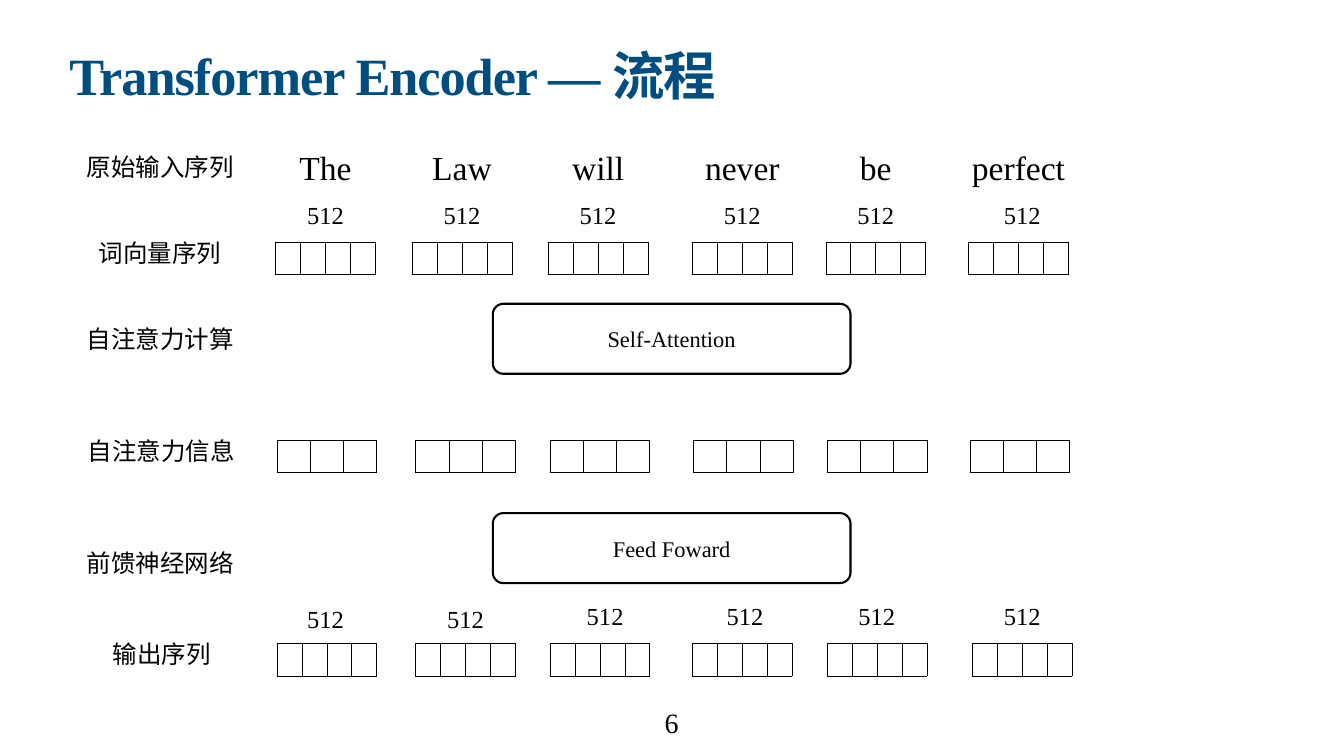
"""Build the slide that walks through the Transformer encoder."""
from lxml import etree
from pptx import Presentation
from pptx import util as u
from pptx.dml.color import RGBColor
from pptx.enum import shapes, text
from pptx.oxml import ns

BLACK = RGBColor(0x00, 0x00, 0x00)
WHITE = RGBColor(0xFF, 0xFF, 0xFF)
BLUE = RGBColor(0x00, 0x4D, 0x80)
SERIF, SANS = "Times New Roman", "Arial"
INSET = u.Pt(4)
MID = text.MSO_ANCHOR.MIDDLE
BAR, TALL = 142.5, 46

WORDS = ["The", "Law", "will", "never", "be", "perfect"]
WIDTHS = [84, 94, 84, 116, 54, 142.5]
IN_X = [465, 660, 854.5, 1060.5, 1251, 1455]
INFO_X = [467, 665, 857, 1062, 1253, 1457]
OUT_X = [467, 665, 857, 1060.5, 1253, 1460]
IN_SIZE_X = [465, 660, 854.5, 1060.5, 1251, 1460.5]
OUT_SIZE_X = [465, 665, 864.5, 1064.5, 1252.5, 1460.5]
OUT_SIZE_Y = [884.5, 884.5, 880, 880, 880, 880]
LABELS = [
    ("原始输入序列", 229, 238),
    ("词向量序列", 229, 361),
    ("自注意力计算", 229, 484),
    ("自注意力信息", 230.5, 644),
    ("前馈神经网络", 229, 804),
    ("输出序列", 231, 934),
]


def apply(item, form):
    """Set each attribute named in a dict of format values."""
    for key, value in form.items():
        setattr(item, key, value)


def set_frame(frame, anchor, wrap):
    """Set the insets, anchor and wrapping of a text frame."""
    sides = ("left", "top", "right", "bottom")
    apply(frame, {f"margin_{side}": INSET for side in sides})
    apply(frame, {"vertical_anchor": anchor, "word_wrap": wrap})


def add_run(para, words, size, name, color=BLACK, **more):
    """Add a run of styled text to a paragraph."""
    run = para.add_run()
    run.text = words
    apply(run.font, {"size": u.Pt(size), "name": name, **more})
    run.font.color.rgb = color
    return run


def add_text(slide, words, x, y, wide, high, size, name=SERIF, anchor=MID):
    """Add one line of text centred on a point."""
    box = slide.shapes.add_textbox(
        u.Pt(x - wide / 2), u.Pt(y - high / 2), u.Pt(wide), u.Pt(high))
    frame = box.text_frame
    set_frame(frame, anchor, False)
    frame.auto_size = text.MSO_AUTO_SIZE.SHAPE_TO_FIT_TEXT
    para = frame.paragraphs[0]
    para.alignment = text.PP_ALIGN.CENTER
    add_run(para, words, size, name)


def add_title(slide):
    """Add the slide title."""
    box = slide.shapes.add_textbox(u.Pt(95), u.Pt(75), u.Pt(1730), u.Pt(113))
    set_frame(box.text_frame, text.MSO_ANCHOR.TOP, True)
    para = box.text_frame.paragraphs[0]
    para.line_spacing = 0.8
    for words, name in (("Transformer Encoder — ", SERIF), ("流程", SANS)):
        run = add_run(para, words, 74.8, name, BLUE, bold=True)
        run.font._element.set("spc", "-150")


def add_border(cell):
    """Draw a thin black line on every side of a cell."""
    props = cell._tc.get_or_add_tcPr()
    for spot, side in enumerate(("lnL", "lnR", "lnT", "lnB")):
        line = etree.Element(ns.qn(f"a:{side}"), w=str(u.Pt(1)))
        fill = etree.SubElement(line, ns.qn("a:solidFill"))
        etree.SubElement(fill, ns.qn("a:srgbClr"), val=str(BLACK))
        props.insert(spot, line)


def add_vector(slide, x, top, count):
    """Add a one-row table of empty cells centred on x."""
    table = slide.shapes.add_table(
        1, count, u.Pt(x - BAR / 2), u.Pt(top), u.Pt(BAR), u.Pt(TALL)).table
    apply(table, {"first_row": False, "horz_banding": False})
    for col in table.columns:
        col.width = u.Pt(BAR / count)
    for cell in table.iter_cells():
        cell.fill.solid()
        cell.fill.fore_color.rgb = WHITE
        add_border(cell)


def add_layer(slide, words, top):
    """Add a rounded box for one encoder layer."""
    box = slide.shapes.add_shape(
        shapes.MSO_SHAPE.ROUNDED_RECTANGLE,
        u.Pt(704), u.Pt(top), u.Pt(511), u.Pt(100))
    box.adjustments[0] = 0.15
    box.shadow.inherit = False
    box.fill.solid()
    box.fill.fore_color.rgb = WHITE
    box.line.color.rgb = BLACK
    box.line.width = u.Pt(3)
    set_frame(box.text_frame, MID, True)
    para = box.text_frame.paragraphs[0]
    para.alignment = text.PP_ALIGN.CENTER
    add_run(para, words, 32, SERIF)


def main():
    """Build and save the slide."""
    deck = Presentation()
    apply(deck, {"slide_width": u.Pt(1920), "slide_height": u.Pt(1080)})
    slide = deck.slides.add_slide(deck.slide_layouts[6])
    add_title(slide)
    for word, x, wide in zip(WORDS, IN_X, WIDTHS):
        add_text(slide, word, x, 238, wide, 61, 48)
    for label, x, y in LABELS:
        add_text(slide, label, x, y, 35 * len(label) + 9, 57, 35, SANS)
    for row, top, count in ((IN_X, 346, 4), (INFO_X, 629, 3), (OUT_X, 919.5, 4)):
        for x in row:
            add_vector(slide, x, top, count)
    sizes = [(x, 307) for x in IN_SIZE_X] + list(zip(OUT_SIZE_X, OUT_SIZE_Y))
    for x, y in sizes:
        add_text(slide, "512", x, y, 61, 47, 35)
    for words, top in (("Self-Attention", 434), ("Feed Foward", 733)):
        add_layer(slide, words, top)
    add_text(slide, "6", 959.5, 1031.5, 28, 57, 40, anchor=text.MSO_ANCHOR.BOTTOM)
    deck.save("out.pptx")


if __name__ == "__main__":
    main()
